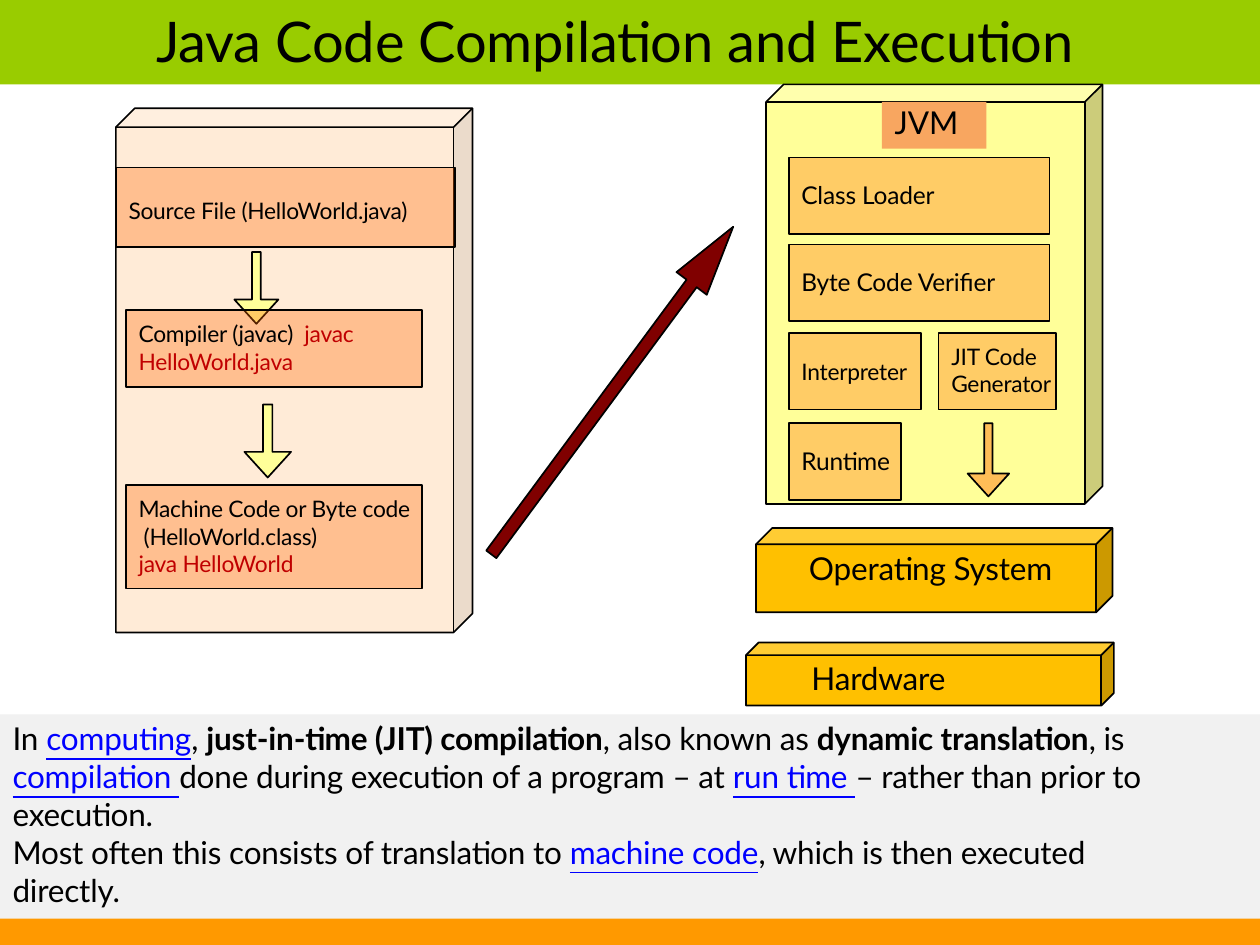
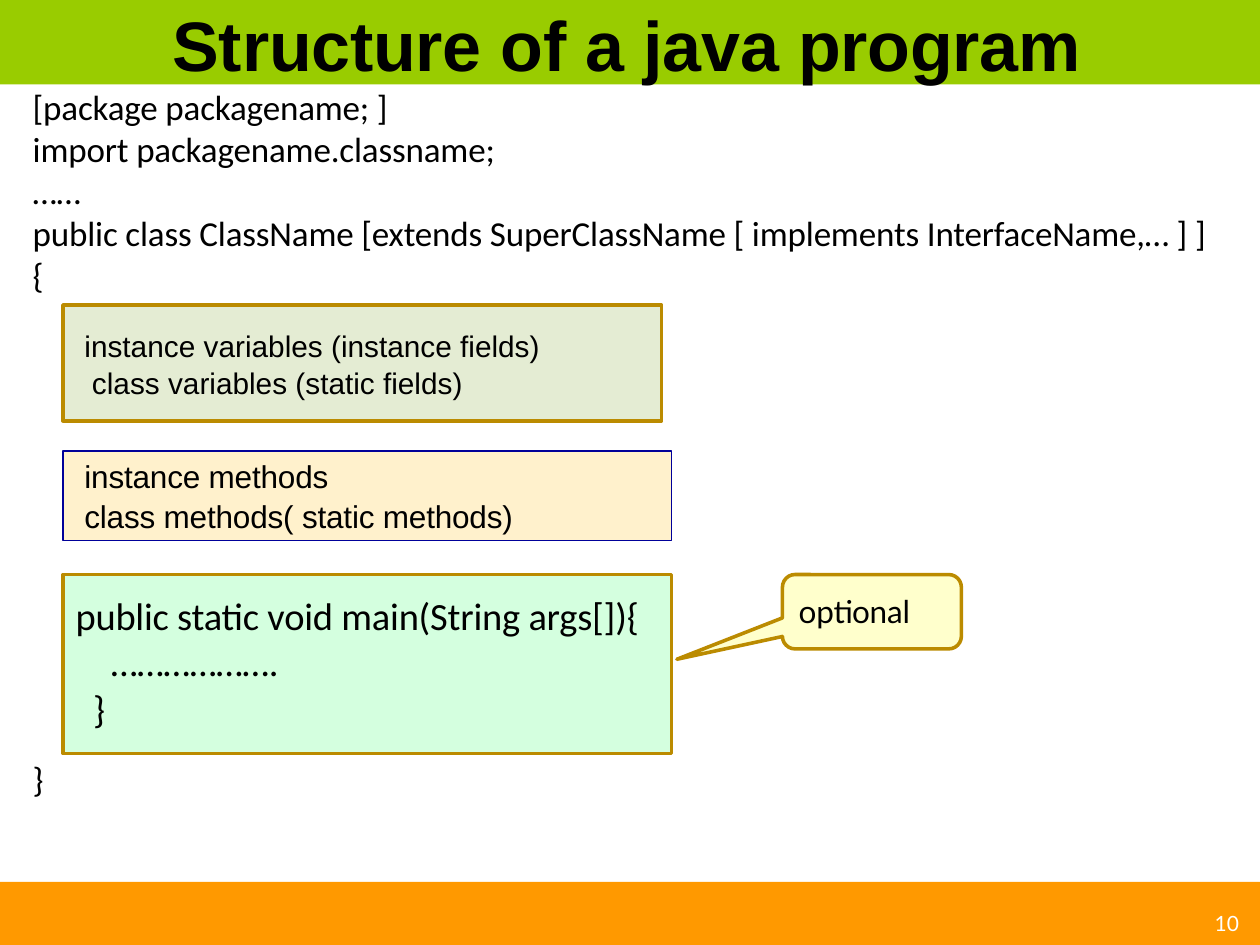
import itertools
import pptx
import pptx.util
import pptx.dml.color
import pptx.enum.shapes
import pptx.enum.text
import pptx.oxml
import pptx.oxml.ns

Inches = pptx.util.Inches
Pt = pptx.util.Pt
RGB = pptx.dml.color.RGBColor
KIND = pptx.enum.shapes.MSO_SHAPE

BLACK, WHITE = RGB(0, 0, 0), RGB(255, 255, 255)
GREEN, ORANGE = RGB(0x99, 0xCC, 0x00), RGB(0xFF, 0x99, 0x00)
PEACH, FLAME = RGB(0xFF, 0xCC, 0x99), RGB(0xFF, 0x66, 0x00)
LEMON, AMBER = RGB(0xFF, 0xFF, 0x99), RGB(0xFF, 0xC0, 0x00)
MAROON, RED = RGB(0x80, 0x00, 0x00), RGB(0xC0, 0x00, 0x00)
SALMON, PALE = RGB(0xF8, 0xA6, 0x60), RGB(0xF1, 0xF1, 0xF1)
BLUE, NAVY = RGB(0x00, 0x00, 0xFF), RGB(0x00, 0x00, 0x99)
GOLD, CREAM = RGB(0xBB, 0x8B, 0x00), RGB(0xFF, 0xFF, 0xCC)
SAGE, SAND = RGB(0xE4, 0xEC, 0xD3), RGB(0xFF, 0xF1, 0xCC)
MINT = RGB(0xD4, 0xFF, 0xDF)

LINK = dict(color=BLUE, under=True)
BOLD = dict(bold=True)
CALL = dict(color=RED)

CUBES = [
    ((0.92, 0.86, 2.83, 4.16), 0.15, PEACH, 39),
    ((6.08, 0.67, 2.67, 3.33), 0.14, LEMON, 100),
    ((6, 4.19, 2.83, 0.67), 0.13, AMBER, 100),
    ((5.92, 5.1, 2.92, 0.5), 0.1, AMBER, 100),
]
ARROWS = [
    ((1.86, 2, 0.35, 0.57), LEMON, 100),
    ((1.94, 3.21, 0.37, 0.58), LEMON, 100),
    ((7.68, 3.36, 0.33, 0.58), FLAME, 43),
]
POINTER = [(3.86, 4.37), (5.45, 2.22), (5.37, 2.16), (5.82, 1.8),
           (5.61, 2.34), (5.53, 2.28), (3.94, 4.43)]
STEPS = [
    ((0.92, 1.33, 2.69, 0.63), ["Source File (HelloWorld.java)"],
     dict(size=13, top=0.23)),
    ((1, 2.46, 2.35, 0.61),
     [["Compiler (javac)  ", ("javac HelloWorld.java", CALL)]],
     dict(size=13, top=0.08)),
    ((1, 3.85, 2.35, 0.82),
     ["Machine Code or Byte code", "(HelloWorld.class)",
      [("java HelloWorld", CALL)]],
     dict(size=13, top=0.08, left=(0.1, 0.14, 0.1))),
    ((6.26, 1.25, 2.07, 0.61), ["Class Loader"], dict(size=14, top=0.18)),
    ((6.26, 1.94, 2.07, 0.61), ["Byte Code Verifier"],
     dict(size=14, top=0.18)),
    ((6.26, 2.64, 1.05, 0.61), ["Interpreter"], dict(size=13, top=0.2)),
    ((7.45, 2.64, 0.93, 0.61), ["JIT Code", "Generator"],
     dict(size=13, top=0.08)),
    ((6.26, 3.36, 0.89, 0.61), ["Runtime"], dict(size=14, top=0.18)),
]
LABELS = [
    ((6, 4.35, 2.69, 0.33), "Operating System", 0.42),
    ((5.92, 5.22, 2.81, 0.33), "Hardware", 0.52),
]
ABOUT = [
    ["In ", ("computing", LINK), ", ",
     ("just-in-time (JIT) compilation", BOLD), ", also known as ",
     ("dynamic translation", BOLD), ", is\n", ("compilation ", LINK),
     "done during execution of a program – at ", ("run time ", LINK),
     "– rather than prior to\nexecution."],
    ["Most often this consists of translation to ", ("machine code", LINK),
     ", which is then executed\ndirectly."],
]
CODE = [
    "[package packagename; ]",
    "import packagename.classname;",
    "……",
    "public class ClassName [extends SuperClassName "
    "[ implements InterfaceName,… ] ]",
    "{",
]
PARTS = [
    ((0.5, 2.42, 4.75, 0.92), SAGE, GOLD, 2.04,
     ["instance variables (instance fields)", "class variables (static fields)"],
     dict(size=17, font="Arial", top=0.18, left=(0.17, 0.23), after=1, track=0)),
    ((0.5, 3.58, 4.83, 0.71), SAND, NAVY, 0.72,
     ["instance methods", "class methods( static methods)"],
     dict(size=18, font="Arial", top=0.05, left=(0.17,), after=1)),
    ((0.5, 4.56, 4.83, 1.42), MINT, GOLD, 2.04,
     ["public static void main(String args[]){", "……………….", "}"],
     dict(size=22, font="Calibri", top=0.14, left=(0.1, 0.38, 0.24))),
]


def paint(shape, fill, line=None, width=0.96, alpha=100):
    shape.shadow.inherit = False
    shape.fill.solid()
    shape.fill.fore_color.rgb = fill
    if alpha < 100:
        tone = shape.fill._xPr.find(".//" + pptx.oxml.ns.qn("a:srgbClr"))
        mark = tone.makeelement(pptx.oxml.ns.qn("a:alpha"), {"val": str(alpha * 1000)})
        tone.append(mark)
    if line is None:
        shape.line.fill.background()
    else:
        shape.line.color.rgb = line
        shape.line.width = Pt(width)
    return shape


def draw(slide, at, fill, kind=KIND.RECTANGLE, adjust=(), **look):
    shape = slide.shapes.add_shape(kind, *map(Inches, at))
    for i, value in enumerate(adjust):
        shape.adjustments[i] = value
    return paint(shape, fill, **look)


def write(shape, paras, size=18, font="Lato", color=BLACK, bold=False,
          top=0.01, left=(0.1,), after=0, track=-0.1):
    frame = shape.text_frame
    frame.word_wrap = True
    frame.vertical_anchor = pptx.enum.text.MSO_ANCHOR.TOP
    frame.margin_left = frame.margin_right = frame.margin_bottom = 0
    frame.margin_top = Inches(top)
    for i, (runs, shift) in enumerate(zip(paras, itertools.cycle(left))):
        para = frame.add_paragraph() if i else frame.paragraphs[0]
        para.alignment = pptx.enum.text.PP_ALIGN.LEFT
        para.space_after = Pt(after)
        para._p.get_or_add_pPr().set("marL", str(Inches(shift)))
        for item in [runs] if isinstance(runs, str) else runs:
            words, style = (item, {}) if isinstance(item, str) else item
            for j, piece in enumerate(words.split("\n")):
                if j:
                    para.add_line_break()
                if not piece:
                    continue
                run = para.add_run()
                run.text = piece
                run.font.name = font
                run.font.size = Pt(size)
                run.font.bold = style.get("bold", bold)
                run.font.underline = style.get("under", False)
                run.font.color.rgb = style.get("color", color)
                run._r.get_or_add_rPr().set("spc", str(round(track * 100)))


def label(slide, at, paras, **form):
    write(slide.shapes.add_textbox(*map(Inches, at)), paras, **form)


def start(deck, foot, title, at, **form):
    slide = deck.slides.add_slide(deck.slide_layouts[6])
    draw(slide, (0, 7.5 - foot, 10, foot), ORANGE)
    draw(slide, (0, 0, 10, 0.67), GREEN)
    label(slide, at, [title], left=(0.01,), **form)
    return slide


def flow(deck):
    slide = start(deck, 0.22, "Java Code Compilation and Execution",
                  (1.23, 0.04, 7.53, 0.56), size=32)
    for at, depth, fill, alpha in CUBES:
        draw(slide, at, fill, KIND.CUBE, [depth / min(at[2:])],
             line=BLACK, alpha=alpha)
    for at, fill, alpha in ARROWS:
        draw(slide, at, fill, KIND.DOWN_ARROW, [0.2, 0.55],
             line=BLACK, alpha=alpha)
    for at, paras, form in STEPS:
        write(draw(slide, at, FLAME, line=BLACK, alpha=33), paras, **form)
    first, *rest = [(Inches(x), Inches(y)) for x, y in POINTER]
    path = slide.shapes.build_freeform(*first)
    path.add_line_segments(rest, close=True)
    paint(path.convert_to_shape(), MAROON, line=BLACK, width=1)
    for at, words, left in LABELS:
        label(slide, at, [words], left=(left,))
    write(draw(slide, (7, 0.81, 0.83, 0.37), SALMON), ["JVM"], track=0)
    write(draw(slide, (0, 5.67, 10, 1.62), PALE), ABOUT, top=0.04)


def layout(deck):
    slide = start(deck, 0.5, "Structure of a java program",
                  (1.36, 0, 7.28, 0.69), size=40, font="Arial", bold=True)
    plain = dict(size=20, font="Calibri", left=(0.01,))
    label(slide, (0.25, 0.67, 9.6, 1.7), CODE, **plain)
    label(slide, (0.25, 6, 0.3, 0.36), ["}"], **plain)
    for at, fill, line, width, paras, form in PARTS:
        write(draw(slide, at, fill, line=line, width=width), paras, **form)
    note = draw(slide, (6.21, 4.56, 1.42, 0.59), CREAM,
                KIND.ROUNDED_RECTANGULAR_CALLOUT, [-1.09, 0.64, 0.17],
                line=GOLD, width=2.04)
    write(note, ["optional"], top=0.11)
    label(slide, (9.6, 7.23, 0.3, 0.22), ["10"], size=12, color=WHITE,
          left=(0.04,), top=0, track=0)


def main():
    deck = pptx.Presentation()
    deck.slide_width, deck.slide_height = Inches(10), Inches(7.5)
    flow(deck)
    layout(deck)
    deck.save("out.pptx")


if __name__ == "__main__":
    main()
